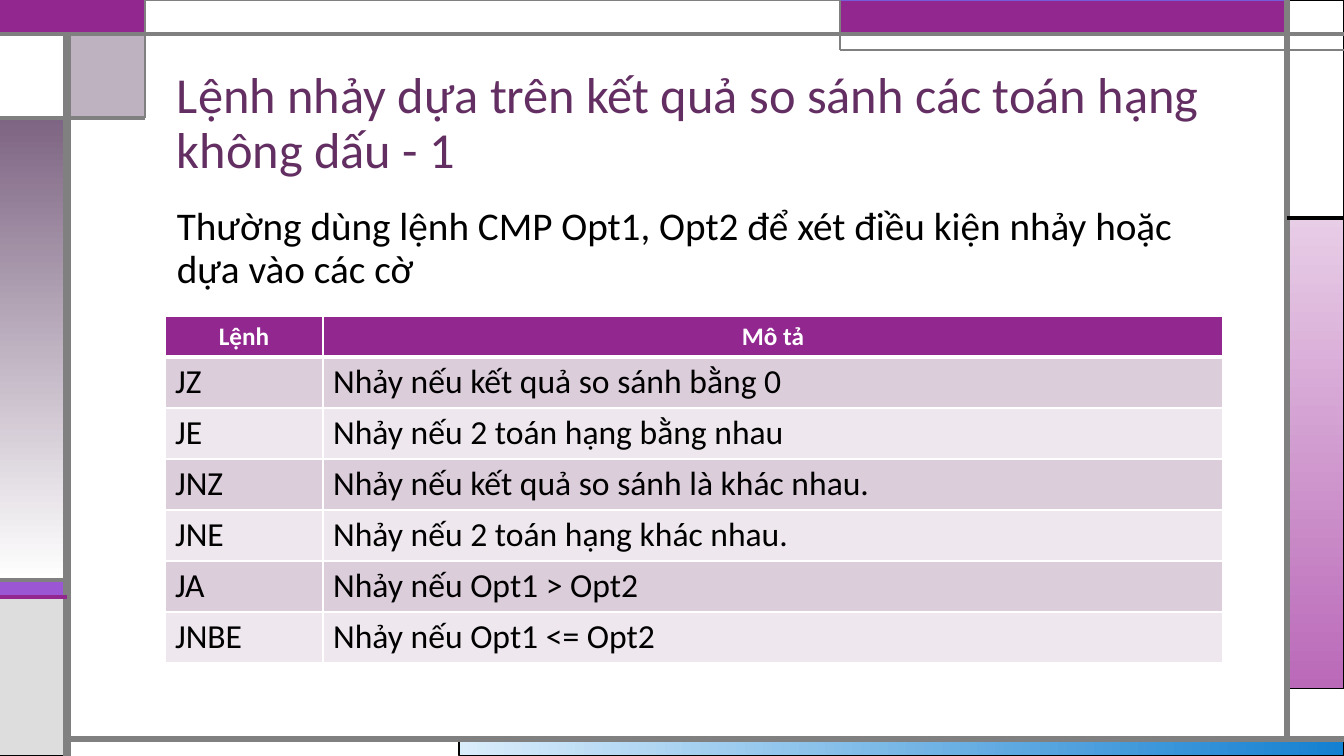
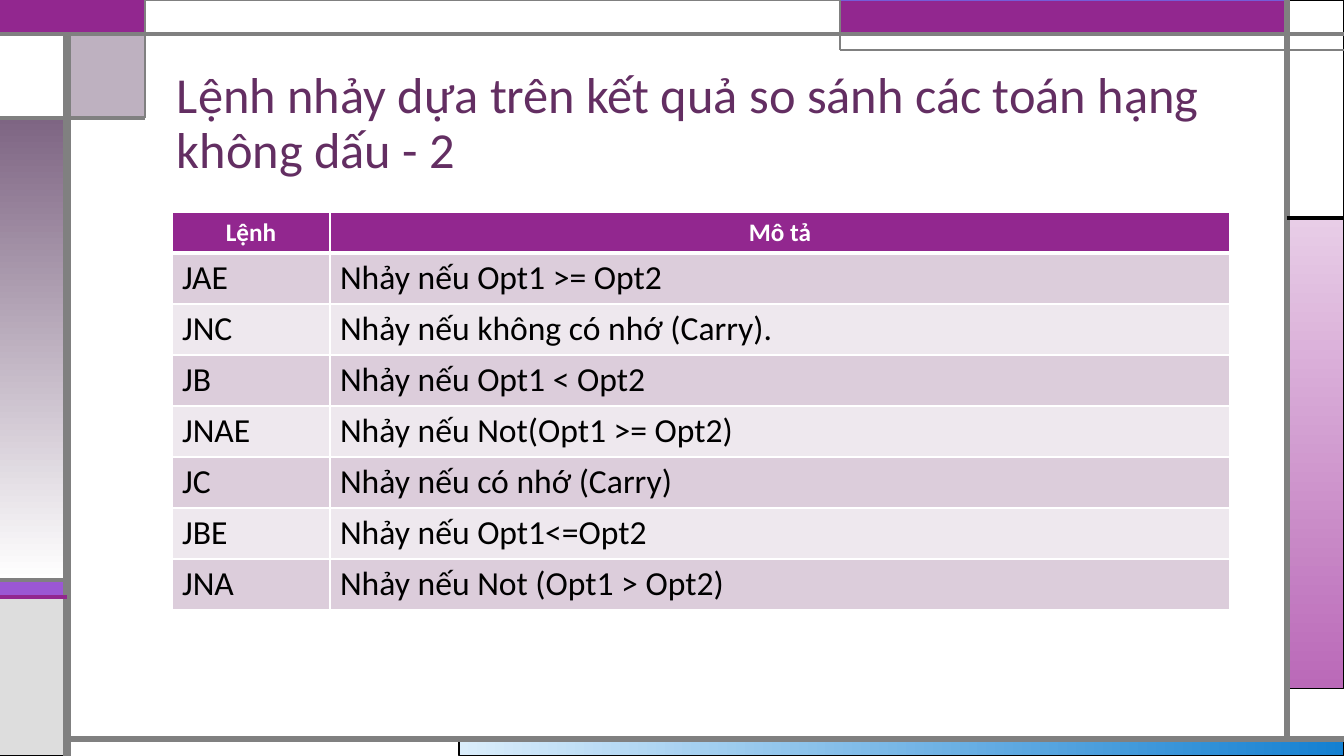
from lxml import etree
from pptx import Presentation
from pptx.dml.color import RGBColor
from pptx.enum.shapes import MSO_CONNECTOR, MSO_SHAPE
from pptx.enum.text import MSO_ANCHOR, PP_ALIGN
from pptx.oxml.ns import qn
from pptx.util import Emu, Pt

RECTANGLE = MSO_SHAPE.RECTANGLE
STRAIGHT = MSO_CONNECTOR.STRAIGHT
TOP, BOTTOM = MSO_ANCHOR.TOP, MSO_ANCHOR.BOTTOM
LEFT, CENTER = PP_ALIGN.LEFT, PP_ALIGN.CENTER

EMU_PER_PIXEL = 914400 / 100.8
WIDTH, HEIGHT = 1344, 756
PURPLE, MAUVE, GRAY = "92278F", "7E6583", "808080"
WHITE, BLACK = "FFFFFF", "000000"
BAND_FILLS = ("DCCDDB", "EEE8EE")

# Grid of the frame
BAR_X, CORNER_X, STRIP_X, RIGHT_X = 67, 145, 840, 1287
TOP_Y, CORNER_Y, RIGHT_Y, BOTTOM_Y = 34, 118, 218, 739
ACCENT_Y, FOOT_Y, STRIP_Y = 580, 597, 50

# left, top, right, bottom, fill (a pair is a gradient), line colour, line points, options
PANELS = [
    (459, BOTTOM_Y, WIDTH, HEIGHT, ("DAEDFB", "1480D1"), BLACK, 0.75, {"angle": 0}),
    (RIGHT_X, RIGHT_Y, WIDTH, 689, ("E8CDE7", "BA69B8"), BLACK, 0.75, {}),
    (0, ACCENT_Y, BAR_X, FOOT_Y, "9B57D3", BLACK, 0.75, {}),
    (0, FOOT_Y, BAR_X, HEIGHT, "DDDDDD", BLACK, 0.75, {}),
    (RIGHT_X, 0, WIDTH, RIGHT_Y, WHITE, BLACK, 0.75, {}),
    (STRIP_X, 0, RIGHT_X, TOP_Y, PURPLE, "755DD9", 0.75, {}),
    (BAR_X, TOP_Y, CORNER_X, CORNER_Y, MAUVE, BLACK, 0.75, {"opacity": 50}),
    (0, CORNER_Y, BAR_X, ACCENT_Y, (MAUVE, WHITE), BLACK, 0.75, {}),
    (0, TOP_Y, BAR_X, CORNER_Y, WHITE, BLACK, 0.75, {}),
    (0, 0, CORNER_X, TOP_Y, PURPLE, PURPLE, 1.5, {}),
    (CORNER_X, 0, STRIP_X, TOP_Y, WHITE, GRAY, 0.75, {}),
]

# start x, start y, end x, end y, colour, points
RULES = [
    (BAR_X, HEIGHT, BAR_X, TOP_Y, GRAY, 6),
    (BAR_X, BOTTOM_Y, WIDTH, BOTTOM_Y, GRAY, 4.5),
    (RIGHT_X, BOTTOM_Y, RIGHT_X, 0, GRAY, 4.5),
    (0, TOP_Y, WIDTH, TOP_Y, GRAY, 3),
    (WIDTH, STRIP_Y, STRIP_X, STRIP_Y, GRAY, 1.5),
    (STRIP_X, STRIP_Y, STRIP_X, 0, GRAY, 1.5),
    (RIGHT_X, RIGHT_Y, WIDTH, RIGHT_Y, BLACK, 2.25),
    (CORNER_X, 0, CORNER_X, CORNER_Y, GRAY, 1.5),
    (CORNER_X, CORNER_Y, 0, CORNER_Y, GRAY, 2.25),
    (BAR_X, ACCENT_Y, 0, ACCENT_Y, GRAY, 2.25),
    (BAR_X, FOOT_Y, 0, FOOT_Y, PURPLE, 2.25),
]

TITLE = {"size": Pt(36), "color": "632E62"}
BODY = {"size": Pt(28), "color": BLACK}
HEADER = {"size": Pt(18), "bold": True, "color": WHITE}
CELL = {"size": Pt(24), "bold": False, "color": BLACK}

COLUMNS = (158, 900)
HEADER_HEIGHT, ROW_HEIGHT = 41, 51
HEADINGS = ("Lệnh", "Mô tả")
TITLE_TEXT = "Lệnh nhảy dựa trên kết quả so sánh các toán hạng không dấu - "

COMPARE_NOTE = "Thường dùng lệnh CMP Opt1, Opt2 để xét điều kiện nhảy hoặc dựa vào các cờ"
EQUALITY_JUMPS = [
    ("JZ", "Nhảy nếu kết quả so sánh bằng 0"),
    ("JE", "Nhảy nếu 2 toán hạng bằng nhau"),
    ("JNZ", "Nhảy nếu kết quả so sánh là khác nhau."),
    ("JNE", "Nhảy nếu 2 toán hạng khác nhau."),
    ("JA", "Nhảy nếu Opt1 > Opt2"),
    ("JNBE", "Nhảy nếu Opt1 <= Opt2"),
]
CARRY_JUMPS = [
    ("JAE", "Nhảy nếu Opt1 >= Opt2"),
    ("JNC", "Nhảy nếu không có nhớ (Carry)."),
    ("JB", "Nhảy nếu Opt1 < Opt2"),
    ("JNAE", "Nhảy nếu Not(Opt1 >= Opt2)"),
    ("JC", "Nhảy nếu có nhớ (Carry)"),
    ("JBE", "Nhảy nếu Opt1<=Opt2"),
    ("JNA", "Nhảy nếu Not (Opt1 > Opt2)"),
]


def px(pixels):
    """Turn pixels into EMU."""
    return Emu(round(pixels * EMU_PER_PIXEL))


def color(value):
    """Turn a hex string into a colour."""
    return RGBColor.from_string(value)


def element(parent, tag, **attributes):
    """Append a DrawingML element to a parent."""
    return etree.SubElement(parent, qn(tag), attributes)


class Deck:
    """Holds the presentation, its style and the current page."""

    font = "Calibri"

    def __init__(self):
        """Start an empty widescreen deck."""
        self.deck = Presentation()
        self.deck.slide_width, self.deck.slide_height = px(WIDTH), px(HEIGHT)
        self.page = None

    def add_page(self, title):
        """Add a page with the shared frame and a title."""
        self.page = self.deck.slides.add_slide(self.deck.slide_layouts[6])
        for left, top, right, bottom, fill, line, points, options in PANELS:
            self.panel(left, top, right, bottom, fill, line, points, **options)
        for rule in RULES:
            self.rule(*rule)
        self.text(167, 58, 1058, 126, title, TITLE, anchor=BOTTOM)

    def panel(self, left, top, right, bottom, fill, line, points, angle=90, opacity=100):
        """Add a rectangle with a solid or gradient fill."""
        shape = self.page.shapes.add_shape(
            RECTANGLE, px(left), px(top), px(right - left), px(bottom - top))
        shape.shadow.inherit = False
        shape.line.color.rgb = color(line)
        shape.line.width = Pt(points)
        if isinstance(fill, tuple):
            shape.fill.gradient()
            shape.fill.gradient_angle = (360 - angle) % 360
            for stop, value in zip(shape.fill.gradient_stops, fill):
                stop.color.rgb = color(value)
            return
        shape.fill.solid()
        shape.fill.fore_color.rgb = color(fill)
        if opacity < 100:
            tint = shape.element.spPr.find(qn("a:solidFill")).find(qn("a:srgbClr"))
            element(tint, "a:alpha", val=str(opacity * 1000))

    def rule(self, x1, y1, x2, y2, line, points):
        """Add a straight line."""
        rule = self.page.shapes.add_connector(STRAIGHT, px(x1), px(y1), px(x2), px(y2))
        rule.line.color.rgb = color(line)
        rule.line.width = Pt(points)
        element(rule.element.spPr, "a:effectLst")

    def add_span(self, para, text, style):
        """Add one styled span to a paragraph."""
        span = para.add_run()
        span.text = text
        span.font.name = self.font
        for name, value in style.items():
            if name == "color":
                span.font.color.rgb = color(value)
            else:
                setattr(span.font, name, value)

    def text(self, left, top, width, height, text, style, anchor=TOP, **spacing):
        """Add a wrapped text box with one paragraph."""
        box = self.page.shapes.add_textbox(px(left), px(top), px(width), px(height))
        frame = box.text_frame
        frame.word_wrap = True
        frame.vertical_anchor = anchor
        para = frame.paragraphs[0]
        for name, value in {"line_spacing": 0.9, **spacing}.items():
            setattr(para, name, value)
        self.add_span(para, text, style)

    def cell(self, cell, text, style, fill, align, top=1, bottom=1):
        """Give one table cell its borders, fill and text."""
        properties = cell._tc.get_or_add_tcPr()
        for side, points in zip("LRTB", (1, 1, top, bottom)):
            border = element(properties, "a:ln" + side, w=str(int(Pt(points))))
            element(element(border, "a:solidFill"), "a:srgbClr", val=WHITE)
        cell.fill.solid()
        cell.fill.fore_color.rgb = color(fill)
        para = cell.text_frame.paragraphs[0]
        para.alignment = align
        self.add_span(para, text, style)

    def table(self, left, top, rows):
        """Add a table of jump instructions with a header and banded rows."""
        heights = [HEADER_HEIGHT] + [ROW_HEIGHT] * len(rows)
        table = self.page.shapes.add_table(
            len(heights), len(COLUMNS), px(left), px(top),
            px(sum(COLUMNS)), px(sum(heights))).table
        for column, width in zip(table.columns, COLUMNS):
            column.width = px(width)
        for row, height in zip(table.rows, heights):
            row.height = px(height)
        for index, heading in enumerate(HEADINGS):
            self.cell(table.cell(0, index), heading, HEADER, PURPLE, CENTER, bottom=3)
        for number, values in enumerate(rows):
            for index, value in enumerate(values):
                self.cell(table.cell(number + 1, index), value, CELL,
                          BAND_FILLS[number % 2], LEFT, top=1 if number else 3)


def main():
    """Build and save the two pages."""
    deck = Deck()
    deck.add_page(TITLE_TEXT + "1")
    deck.table(165, 316, EQUALITY_JUMPS)
    deck.text(167, 202, 1058, 97, COMPARE_NOTE, BODY, space_before=Pt(18))
    deck.add_page(TITLE_TEXT + "2")
    deck.table(172, 212, CARRY_JUMPS)
    deck.deck.save("out.pptx")


main()
